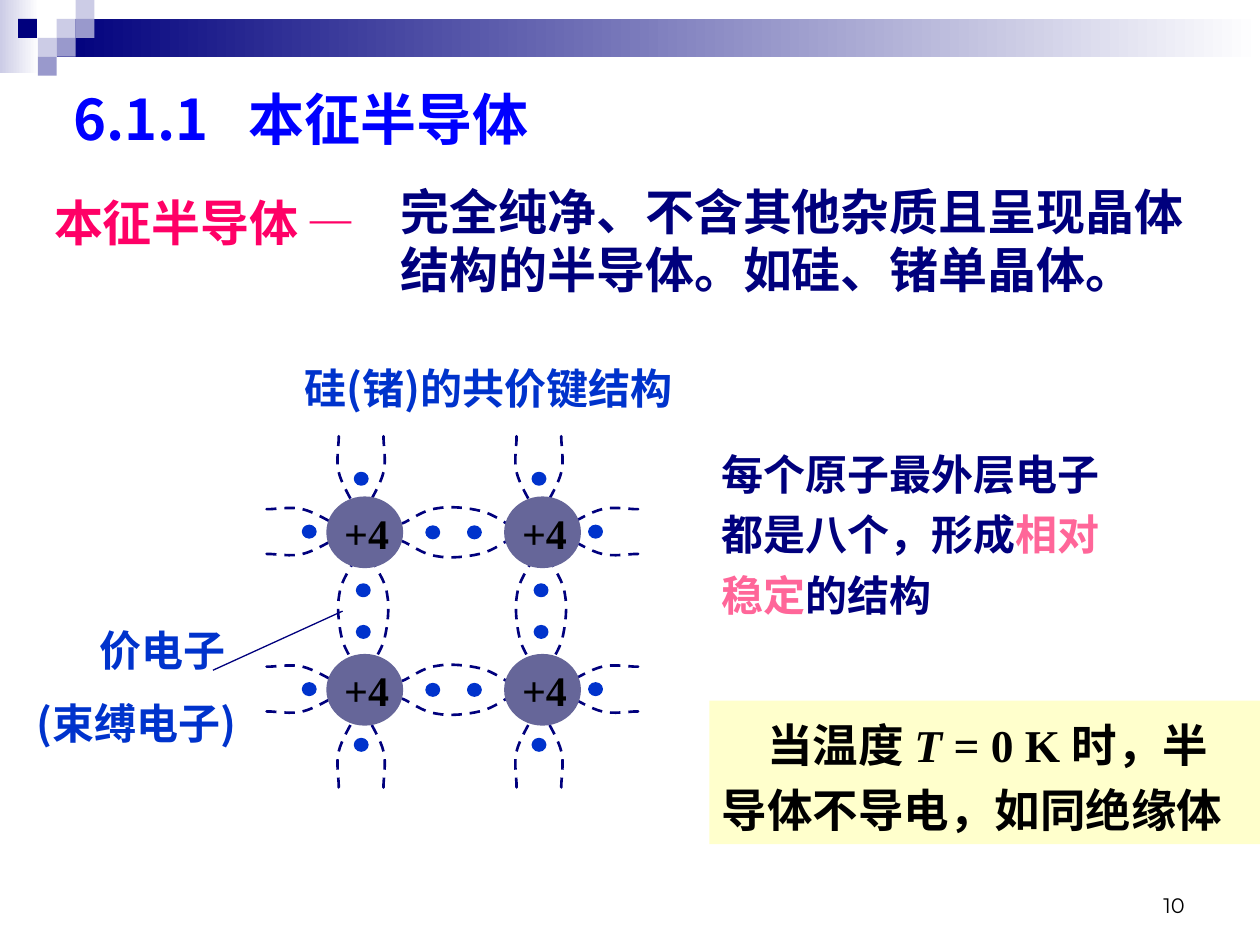
import pptx
import pptx.dml.color
import pptx.enum.dml
import pptx.enum.shapes
import pptx.enum.text
import pptx.oxml.ns
import pptx.util
from lxml import etree

Pt = pptx.util.Pt
RGBColor = pptx.dml.color.RGBColor
qn = pptx.oxml.ns.qn
SHAPE = pptx.enum.shapes.MSO_SHAPE
ALIGN = pptx.enum.text.PP_ALIGN
ANCHOR = pptx.enum.text.MSO_ANCHOR

NAVY = RGBColor(0x00, 0x00, 0x7D)
BLUE = RGBColor(0x00, 0x33, 0xCC)
TITLE_BLUE = RGBColor(0x00, 0x00, 0xFF)
RED = RGBColor(0xFF, 0x00, 0x66)
PINK = RGBColor(0xFF, 0x66, 0x99)
LAVENDER = RGBColor(0xCC, 0xCC, 0xE6)
LILAC = RGBColor(0x99, 0x99, 0xCC)
ATOM_GREY = RGBColor(0x66, 0x66, 0x99)
CREAM = RGBColor(0xFF, 0xFF, 0xCC)
BLACK = RGBColor(0, 0, 0)
WHITE = RGBColor(0xFF, 0xFF, 0xFF)

CJK = "Noto Sans CJK SC"
TIMES = "Times New Roman"

BANDS = [((0, 0, 22.3, 41.8), LAVENDER), ((32.4, 10.8, 687.6, 21.6), NAVY)]
SQUARE = 10.8
SQUARES = [(32.4, 10.8, LAVENDER), (43.2, 0, LAVENDER), (43.2, 10.8, LILAC),
           (21.6, 21.6, LAVENDER), (10.3, 10.8, NAVY), (32.4, 21.6, LILAC),
           (21.6, 32.4, LILAC)]

TITLE = "6.1.1\t本征半导体"
TERM = [("本征半导体", {}), (" ", {"size": Pt(20)}), ("—", {"name": TIMES})]
DEFINITION = "完全纯净、不含其他杂质且呈现晶体结构的半导体。如硅、锗单晶体。"
OCTET = [[("每个原子最外层电子", {})],
         [("都是八个，形成", {}), ("相对", {"color": PINK})],
         [("稳定", {"color": PINK}), ("的结构", {})]]
ABSOLUTE_ZERO = [("当温度 ", {}), ("T ", {"italic": True}),
                 ("= 0 K 时，半导体不导电，如同绝缘体", {})]
BLUE_LABELS = [("硅(锗)的共价键结构", (147, 202.3, 264, 36), ALIGN.CENTER),
               ("价电子", (49.7, 352, 120, 36), ALIGN.LEFT),
               ("(束缚电子)", (13.7, 393.8, 156, 36), ALIGN.LEFT)]

ATOM_X = (208.4, 310)
ATOM_Y = (304.2, 394.2)
ATOM_SIZE = (43.9, 41)
DOT_SIZE = (7, 6.5)
BOND_DOT = 11.9
TAIL_DOT = 31
RIGHT, LEFT, DOWN, UP = (1, 0), (-1, 0), (0, 1), (0, -1)

BOND_ARC = [(33.8, 2.9), (31, 4.3), (22.3, 10.8), (15.1, 12.3), (7.9, 14),
            (-2.2, 15.1), (-9.4, 13.7), (-17.3, 13), (-25.2, 6.5), (-29.5, 5)]
TAIL_ARC = [(55, 12.8), (54.3, 12.8), (57, 12.8), (54, 12.8), (50.5, 12.8),
            (41, 14.4), (34.8, 12.8), (28.3, 11.3), (19, 5.6), (14.8, 3.4)]

prs = pptx.Presentation()
prs.slide_width, prs.slide_height = Pt(720), Pt(540)
slide = prs.slides.add_slide(prs.slide_layouts[5])
shapes = slide.shapes


def add_filled(kind, place, color):
    shape = shapes.add_shape(kind, *map(Pt, place))
    shape.shadow.inherit = False
    shape.fill.solid()
    shape.fill.fore_color.rgb = color
    shape.line.fill.background()
    return shape


def style(font, color=None, **settings):
    if color is not None:
        font.color.rgb = color
    for key, value in settings.items():
        setattr(font, key, value)


def write(shape, paragraphs, size, color, name=CJK, bold=True, align=ALIGN.LEFT,
          anchor=ANCHOR.TOP, line=None, before=0, indent=None, tab=None):
    frame = shape.text_frame
    frame.word_wrap = True
    frame.auto_size = pptx.enum.text.MSO_AUTO_SIZE.NONE
    frame.vertical_anchor = anchor
    for index, runs in enumerate(paragraphs):
        paragraph = frame.add_paragraph() if index else frame.paragraphs[0]
        paragraph.alignment = align
        if line:
            paragraph.line_spacing = Pt(line)
        if index:
            paragraph.space_before = Pt(before)
        properties = paragraph._p.get_or_add_pPr()
        if indent:
            properties.set("indent", str(Pt(indent)))
        if tab:
            stops = etree.SubElement(properties, qn("a:tabLst"))
            etree.SubElement(stops, qn("a:tab"), pos=str(Pt(tab)), algn="l")
        style(paragraph.font, color, size=Pt(size), name=name, bold=bold)
        etree.SubElement(properties.find(qn("a:defRPr")), qn("a:ea"), typeface=CJK)
        for text, changes in runs:
            run = paragraph.add_run()
            run.text = text
            style(run.font, **changes)


def add_text(place, *args, **options):
    write(shapes.add_textbox(*map(Pt, place)), *args, **options)


def locate(center, direction, along, across):
    (x, y), (dx, dy) = center, direction
    return x + along * dx - across * dy, y + along * dy + across * dx


def add_arc(center, direction, arc, side):
    points = [tuple(map(Pt, locate(center, direction, along, side * across)))
              for along, across in arc]
    builder = shapes.build_freeform(*points[0])
    builder.add_line_segments(points[1:], close=False)
    curve = builder.convert_to_shape()
    path = next(curve._element.iter(qn("a:path")))
    steps = path.findall(qn("a:lnTo"))
    for start in range(0, len(steps), 3):
        bezier = etree.SubElement(path, qn("a:cubicBezTo"))
        for step in steps[start:start + 3]:
            bezier.append(step[0])
            path.remove(step)
    curve.shadow.inherit = False
    curve.fill.background()
    curve.line.color.rgb = NAVY
    curve.line.width = Pt(1.5)
    curve.line.dash_style = pptx.enum.dml.MSO_LINE.DASH


def add_electrons(center, direction, arc, distances):
    for side in (-1, 1):
        add_arc(center, direction, arc, side)
    width, height = DOT_SIZE
    for distance in distances:
        x, y = locate(center, direction, distance, 0)
        dot = add_filled(SHAPE.OVAL, (x - width / 2, y - height / 2, width, height), BLUE)
        dot.line.color.rgb = BLUE
        dot.line.width = Pt(1.5)


for place, color in BANDS:
    band = add_filled(SHAPE.RECTANGLE, place, color)
    band.fill.gradient()
    band.fill.gradient_angle = 0
    for stop, shade in zip(band.fill.gradient_stops, (color, WHITE)):
        stop.color.rgb = shade
for x, y, color in SQUARES:
    add_filled(SHAPE.RECTANGLE, (x, y, SQUARE, SQUARE), color)

title = shapes.title
title.left, title.top, title.width, title.height = map(Pt, (34.6, 43.2, 336, 46))
write(title, [[(TITLE, {})]], 32, TITLE_BLUE, line=40, tab=100)
add_text((23.8, 105.8, 196.6, 41), [TERM], 28, RED, line=34.5)
add_text((221.8, 100.1, 468, 75), [[(DEFINITION, {})]], 28, NAVY, line=33.5)

for x in ATOM_X:
    add_electrons((x - 0.8, sum(ATOM_Y) / 2), DOWN, BOND_ARC, (-BOND_DOT, BOND_DOT))
    for y, direction in zip(ATOM_Y, (UP, DOWN)):
        add_electrons((x - 2, y + 0.4), direction, TAIL_ARC, [TAIL_DOT])
for y in ATOM_Y:
    add_electrons((sum(ATOM_X) / 2, y), RIGHT, BOND_ARC, (-BOND_DOT, BOND_DOT))
    for x, direction in zip(ATOM_X, (LEFT, RIGHT)):
        add_electrons((x - 0.7, y - 0.4), direction, TAIL_ARC, [TAIL_DOT])

atom_width, atom_height = ATOM_SIZE
for x in ATOM_X:
    for y in ATOM_Y:
        add_filled(SHAPE.OVAL, (x - atom_width / 2, y - atom_height / 2, *ATOM_SIZE), ATOM_GREY)
        add_text((x - 18.8, y - 18, 60, 36), [[("+4", {})]], 24, BLACK, TIMES)

for label, place, align in BLUE_LABELS:
    add_text(place, [[(label, {})]], 24, BLUE, align=align, line=30)
leader = shapes.add_connector(pptx.enum.shapes.MSO_CONNECTOR.STRAIGHT,
                              *map(Pt, (195.8, 349.2, 121.7, 383)))
leader.line.color.rgb = NAVY
leader.line.width = Pt(0.75)
etree.SubElement(leader._element.spPr, qn("a:effectLst"))

add_text((405.4, 252.7, 272, 106), OCTET, 24, NAVY, "Arial", line=28.6, before=6)
zero_note = add_filled(SHAPE.RECTANGLE, (405.4, 400.3, 314.6, 82), CREAM)
write(zero_note, [ABSOLUTE_ZERO], 26, BLACK, TIMES, line=37, indent=26)
add_text((516.2, 491.8, 168, 36), [[("10", {})]], 12, BLACK, "Montserrat",
         bold=False, align=ALIGN.RIGHT, anchor=ANCHOR.BOTTOM)

prs.save("out.pptx")
